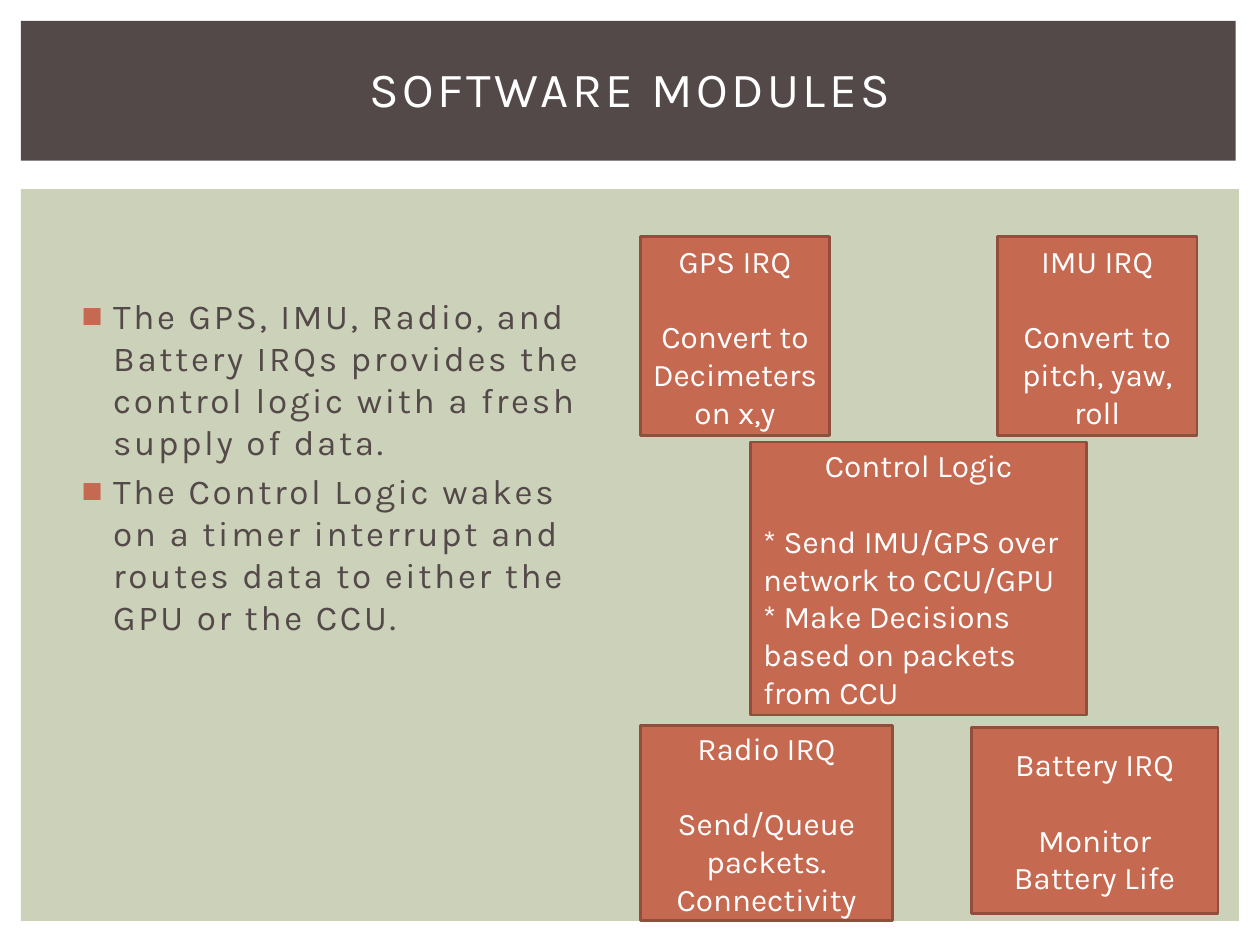
from typing import NamedTuple

from lxml.etree import SubElement
from pptx import Presentation
from pptx.dml.color import RGBColor
from pptx.enum.shapes import MSO_SHAPE as Shape
from pptx.enum.text import MSO_ANCHOR as Anchor, PP_ALIGN as Align
from pptx.oxml.ns import qn
from pptx.util import Inches, Pt

WHITE = RGBColor(0xFF, 0xFF, 0xFF)
SAGE = RGBColor(0xCC, 0xD1, 0xB9)
BROWN = RGBColor(0x53, 0x49, 0x49)
RUST = RGBColor(0xC6, 0x69, 0x51)
EDGE = RGBColor(0x92, 0x4E, 0x3C)
FONT = "Karla"
COLS, ROWS = 120, 90  # twelve grid cells to the inch


class Area(NamedTuple):
    col: float
    row: float
    cols: float
    rows: float


class Module(NamedTuple):
    name: str
    lines: list[str]
    area: Area
    align: Align = Align.CENTER


MODULES = [
    Module("GPS IRQ", ["Convert to Decimeters", "on x,y"], Area(61, 22.5, 18, 19)),
    Module("IMU IRQ", ["Convert to pitch, yaw, roll"], Area(95, 22.5, 19, 19)),
    Module("Control Logic",
           ["* Send IMU/GPS over network to CCU/GPU",
            "* Make Decisions based on packets from CCU"],
           Area(71.5, 42.1, 32, 26), Align.LEFT),
    Module("Radio IRQ", ["Send/Queue packets.", "Connectivity"],
           Area(61, 69.1, 24, 18.6)),
    Module("Battery IRQ", ["Monitor Battery Life"], Area(92.5, 69.3, 23.5, 17.7)),
]
POINTS = [
    "The GPS, IMU, Radio, and Battery IRQs provides the control logic "
    "with a fresh supply of data.",
    "The Control Logic wakes on a timer interrupt and routes data to "
    "either the GPU or the CCU.",
]

deck = Presentation()
deck.slide_width, deck.slide_height = Inches(10), Inches(7.5)
slide = deck.slides.add_slide(deck.slide_layouts[6])


def place(area: Area) -> list[int]:
    """Turn grid cells into slide lengths."""
    wide, high = deck.slide_width / COLS, deck.slide_height / ROWS
    return [round(n * unit) for n, unit in zip(area, (wide, high) * 2)]


def add_box(area: Area, fill: RGBColor, edge: RGBColor | None = None):
    box = slide.shapes.add_shape(Shape.RECTANGLE, *place(area))
    box.shadow.inherit = False
    box.fill.solid()
    box.fill.fore_color.rgb = fill
    if edge is None:
        box.line.fill.background()
    else:
        box.line.color.rgb = edge
        box.line.width = Pt(1.5)
    return box


def add_frame(area: Area):
    frame = slide.shapes.add_textbox(*place(area)).text_frame
    frame.word_wrap = True
    return frame


def write(frame, lines: list[str], size: float, color: RGBColor,
          align: Align = Align.LEFT, track: float = 0) -> list:
    """Fill a frame, one paragraph a line; track is letter spacing in points."""
    frame.text = "\n".join(lines)
    for para in frame.paragraphs:
        para.alignment = align
        para.font.name, para.font.size = FONT, Pt(size)
        para.font.color.rgb = color
        if track:
            for run in para.runs:
                run.font._element.set("spc", str(round(track * 100)))
    return list(frame.paragraphs)


def add_bullet(para) -> None:
    props = para._p.get_or_add_pPr()
    props.set("marL", str(Inches(0.3)))
    props.set("indent", str(Inches(-0.25)))
    marks = [
        SubElement(props, qn("a:buClr")),
        SubElement(props, qn("a:buFont"), typeface="Arial"),
        SubElement(props, qn("a:buChar"), char="■"),
    ]
    SubElement(marks[0], qn("a:srgbClr"), val=str(RUST))
    for spot, mark in enumerate(marks):
        props.insert(list(props).index(props.find(qn("a:defRPr"))), mark)


def add_module(mod: Module) -> None:
    frame = add_box(mod.area, RUST, EDGE).text_frame
    frame.word_wrap = True
    frame.vertical_anchor = Anchor.MIDDLE
    head, *rest = write(frame, [mod.name, *mod.lines], 18, WHITE, mod.align)
    head.alignment = Align.CENTER
    head.space_after = Pt(21.5)


# Backdrop and banner
add_box(Area(2, 18, 116, 69.7), SAGE)
add_box(Area(2, 2, 115.7, 13.3), BROWN)

# Bullet points
body = add_frame(Area(6, 22.5, 53, 57.8))
body.margin_top = Inches(0.46)
for para in write(body, POINTS, 20, BROWN, track=1.5):
    para.space_after = Pt(4)
    add_bullet(para)

# Title
title = add_frame(Area(5, 4.7, 110, 7.3))
title.vertical_anchor = Anchor.MIDDLE
write(title, ["SOFTWARE MODULES"], 28, WHITE, Align.CENTER, track=2)

# Module boxes
for mod in MODULES:
    add_module(mod)

deck.save("out.pptx")
